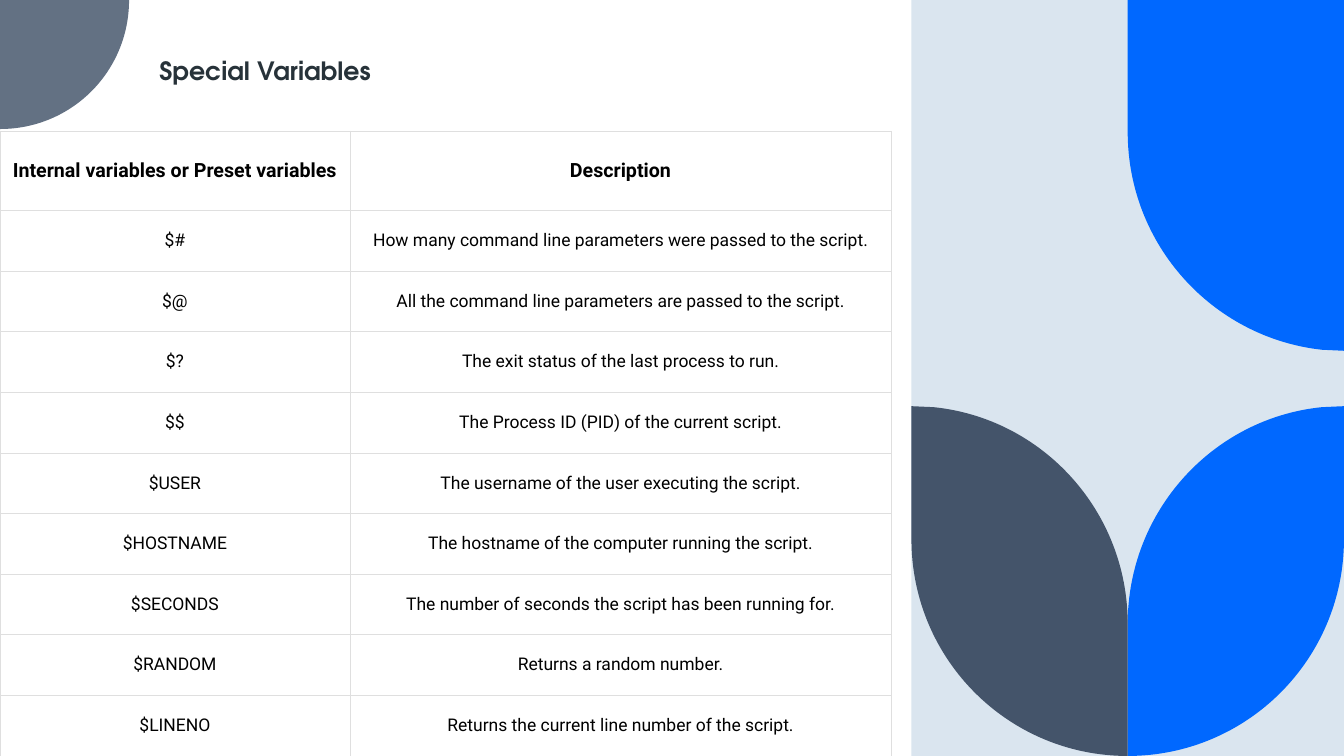
"""Build the Special Variables slide: a table beside a panel of leaf shapes."""
import pptx
import pptx.dml.color
import pptx.enum.shapes
import pptx.enum.text
import pptx.oxml
import pptx.oxml.ns
import pptx.util
from pptx.util import Inches

COLORS = {
    "panel": "DAE5EF", "blue": "0068FF", "slate": "44546A", "gray": "637183",
    "title": "273239", "text": "000000", "cell": "FFFFFF", "border": "DFDFDF",
}
PANEL_LEFT, SLIDE_RIGHT, SLIDE_BOTTOM = 9.04, 13.33, 7.5
MIDDLE = (PANEL_LEFT + SLIDE_RIGHT) / 2

ROWS = [
    ("Internal variables or Preset variables", "Description"),
    ("$#", "How many command line parameters were passed to the script."),
    ("$@", "All the command line parameters are passed to the script."),
    ("$?", "The exit status of the last process to run."),
    ("$$", "The Process ID (PID) of the current script."),
    ("$USER", "The username of the user executing the script."),
    ("$HOSTNAME", "The hostname of the computer running the script."),
    ("$SECONDS", "The number of seconds the script has been running for."),
    ("$RANDOM", "Returns a random number."),
    ("$LINENO", "Returns the current line number of the script."),
]
COLUMN_WIDTHS = (3.47, 5.37)
TABLE_TOP, TABLE_HEIGHT, HEADER_RATIO = 1.3, 6.2, 1.31

LEAF = [
    (SLIDE_RIGHT, 4.03), (SLIDE_RIGHT, 5.35),
    (SLIDE_RIGHT, 6.54, 12.37, SLIDE_BOTTOM, MIDDLE, SLIDE_BOTTOM),
    (MIDDLE, 6.19), (MIDDLE, 5.07, 12.03, 4.15, 13.11, 4.04),
]
TOP_PETAL = [
    (MIDDLE, 0), (SLIDE_RIGHT, 0), (SLIDE_RIGHT, 3.48), (13.11, 3.47),
    (12.03, 3.35, MIDDLE, 2.43, MIDDLE, 1.31),
]
CORNER = [(0, 0), (1.28, 0), (1.28, 0.71, 0.71, 1.28, 0, 1.28)]


def rgb(name):
    return pptx.dml.color.RGBColor.from_string(COLORS[name])


def paint(shape, color):
    shape.shadow.inherit = False
    shape.fill.solid()
    shape.fill.fore_color.rgb = rgb(color)
    shape.line.fill.background()


def mirror(outline):
    """Flip an outline left to right within the panel."""
    return [
        tuple(2 * MIDDLE - value if index % 2 == 0 else value
              for index, value in enumerate(segment))
        for segment in outline
    ]


def bend(shape, outline):
    """Replace the straight sides by cubic curves where the outline has them."""
    sides = list(shape._element.find(".//" + pptx.oxml.ns.qn("a:path")))
    for side, segment in zip(sides, outline):
        if len(segment) == 6:
            points = "".join(
                f'<a:pt x="{Inches(x) - shape.left}" y="{Inches(y) - shape.top}"/>'
                for x, y in zip(segment[::2], segment[1::2]))
            curve = pptx.oxml.parse_xml(
                f'<a:cubicBezTo {pptx.oxml.ns.nsdecls("a")}>{points}</a:cubicBezTo>')
            side.getparent().replace(side, curve)


def add_petal(slide, outline, color):
    corners = [(Inches(segment[-2]), Inches(segment[-1])) for segment in outline]
    builder = slide.shapes.build_freeform(*corners[0])
    builder.add_line_segments(corners[1:], close=True)
    petal = builder.convert_to_shape()
    bend(petal, outline)
    paint(petal, color)


def add_panel(slide):
    panel = slide.shapes.add_shape(
        pptx.enum.shapes.MSO_SHAPE.RECTANGLE, Inches(PANEL_LEFT), 0,
        Inches(SLIDE_RIGHT - PANEL_LEFT), Inches(SLIDE_BOTTOM))
    paint(panel, "panel")


def set_font(paragraph, name, size, color, bold):
    font = paragraph.font
    font.name = name
    font.size = pptx.util.Pt(size)
    font.bold = bold
    font.color.rgb = rgb(color)


def add_title(slide, text):
    box = slide.shapes.add_textbox(Inches(0.49), Inches(0.5), Inches(6.91), Inches(0.71))
    frame = box.text_frame
    frame.word_wrap = True
    frame.margin_left = Inches(1.09)
    frame.text = text
    set_font(frame.paragraphs[0], "TeX Gyre Adventor", 18, "title", True)


def add_borders(cell):
    properties = cell._tc.get_or_add_tcPr()
    for index, side in enumerate(("lnL", "lnR", "lnT", "lnB")):
        border = pptx.oxml.parse_xml(
            f'<a:{side} {pptx.oxml.ns.nsdecls("a")} w="{pptx.util.Pt(0.23)}">'
            f'<a:solidFill><a:srgbClr val="{COLORS["border"]}"/></a:solidFill>'
            f'</a:{side}>')
        properties.insert(index, border)


def fill_cell(cell, text, header, side_margin):
    cell.text = text
    cell.vertical_anchor = pptx.enum.text.MSO_ANCHOR.MIDDLE
    cell.margin_left = cell.margin_right = Inches(side_margin)
    cell.margin_top = cell.margin_bottom = Inches(0.1 if header else 0.15)
    cell.fill.solid()
    cell.fill.fore_color.rgb = rgb("cell")
    add_borders(cell)
    paragraph = cell.text_frame.paragraphs[0]
    paragraph.alignment = pptx.enum.text.PP_ALIGN.CENTER
    set_font(paragraph, "Roboto", 14 if header else 12.5, "text", header)


def add_variable_table(slide):
    table = slide.shapes.add_table(
        len(ROWS), len(COLUMN_WIDTHS), 0, Inches(TABLE_TOP),
        Inches(sum(COLUMN_WIDTHS)), Inches(TABLE_HEIGHT)).table
    table.first_row = table.horz_banding = False
    for column, width in zip(table.columns, COLUMN_WIDTHS):
        column.width = Inches(width)
    body_height = TABLE_HEIGHT / (len(ROWS) - 1 + HEADER_RATIO)
    for row_index, texts in enumerate(ROWS):
        header = row_index == 0
        table.rows[row_index].height = Inches(body_height * (HEADER_RATIO if header else 1))
        for column_index, text in enumerate(texts):
            side_margin = 0.04 if header and column_index == 0 else 0.1
            fill_cell(table.cell(row_index, column_index), text, header, side_margin)


def main():
    presentation = pptx.Presentation()
    presentation.slide_width = Inches(SLIDE_RIGHT)
    presentation.slide_height = Inches(SLIDE_BOTTOM)
    slide = presentation.slides.add_slide(presentation.slide_layouts[6])
    add_panel(slide)
    add_petal(slide, LEAF, "blue")
    add_petal(slide, mirror(LEAF), "slate")
    add_petal(slide, CORNER, "gray")
    add_petal(slide, TOP_PETAL, "blue")
    add_title(slide, "Special Variables")
    add_variable_table(slide)
    presentation.save("out.pptx")


if __name__ == "__main__":
    main()
